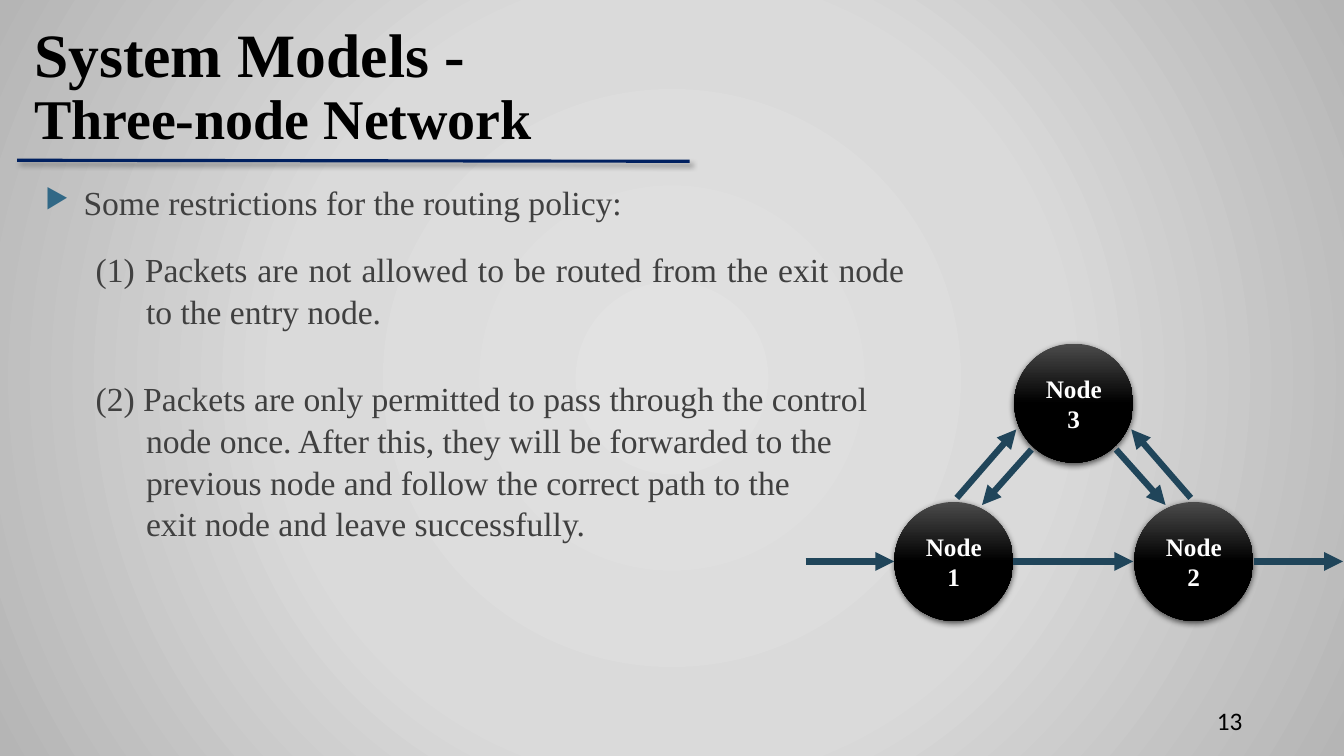
from lxml import etree
from pptx import Presentation
from pptx.dml.color import RGBColor
from pptx.enum.shapes import MSO_CONNECTOR, MSO_SHAPE
from pptx.enum.text import MSO_ANCHOR, PP_ALIGN
from pptx.oxml.ns import qn
from pptx.util import Inches, Pt

STRAIGHT = MSO_CONNECTOR.STRAIGHT
OVAL = MSO_SHAPE.OVAL
TOP, MIDDLE = MSO_ANCHOR.TOP, MSO_ANCHOR.MIDDLE
LEFT, CENTER, RIGHT, JUSTIFY = PP_ALIGN.LEFT, PP_ALIGN.CENTER, PP_ALIGN.RIGHT, PP_ALIGN.JUSTIFY

BLACK = RGBColor(0x00, 0x00, 0x00)
WHITE = RGBColor(0xFF, 0xFF, 0xFF)
BODY_GREY = RGBColor(0x40, 0x40, 0x40)
BULLET_BLUE = RGBColor(0x31, 0x68, 0x86)
RULE_NAVY = RGBColor(0x00, 0x20, 0x60)
ARROW_BLUE = RGBColor(0x20, 0x45, 0x5A)
NODE_GREY = RGBColor(0x4B, 0x4B, 0x4B)
BACK_LIGHT = RGBColor(0xE2, 0xE2, 0xE2)
BACK_MID = RGBColor(0xDA, 0xDA, 0xDA)
BACK_DARK = RGBColor(0xB5, 0xB5, 0xB5)

SERIF, SANS = "Times New Roman", "Calibri"
WIDTH, HEIGHT = 13.33, 7.5

TITLE = [("System Models -\v", 44), ("Three-node Network", 40)]
BODY = [
    ("Some restrictions for the routing policy:", JUSTIFY, 0.38, -0.38, 0),
    ("(1) Packets are not allowed to be routed from the exit node \v"
     "to the entry node.", JUSTIFY, 1, -0.5, 18),
    ("(2) Packets are only permitted to pass through the control\v"
     "node once. After this, they will be forwarded to the\v"
     "previous node and follow the correct path to the\v"
     "exit node and leave successfully.", LEFT, 1, -0.5, 32),
]
PAGE_NUMBER = "13"

NODE_SIZE = 1.18
NODE_STEP = 1.19
NODE_LEFT, NODE_TOP, NODE_RISE = 8.87, 4.98, 1.57
NODES = [("Node 3", 1, 1), ("Node 1", 0, 0), ("Node 2", 2, 0)]
AXIS = NODE_LEFT + NODE_STEP + NODE_SIZE / 2
FLOW_Y = NODE_TOP + NODE_SIZE / 2
SIDE_ARROWS = [((-1.16, 4.94), (-0.57, 4.26)), ((-0.42, 4.46), (-0.91, 5.01))]
MIRRORED_ARROWS = [((-x1, y1), (-x2, y2)) for (x1, y1), (x2, y2) in SIDE_ARROWS]
FLOW_ARROWS = [(7.99, 8.87), (10.05, 11.24), (12.44, 13.32)]


def add_gradient(fill, holder, stops, direction, **settings):
    fill.gradient()
    gradient = next(holder.iter(qn("a:gradFill")))
    for child in list(gradient):
        gradient.remove(child)
    stop_list = etree.SubElement(gradient, qn("a:gsLst"))
    for position, color in stops:
        stop = etree.SubElement(stop_list, qn("a:gs"), pos=str(position * 1000))
        etree.SubElement(stop, qn("a:srgbClr"), val=str(color))
    return etree.SubElement(gradient, qn(direction), **settings)


def set_shadow(shape, alpha=0, blur=0, distance=0, angle=0):
    properties = shape._element.spPr
    for old in properties.findall(qn("a:effectLst")):
        properties.remove(old)
    effects = etree.SubElement(properties, qn("a:effectLst"))
    if alpha:
        shadow = etree.SubElement(
            effects, qn("a:outerShdw"), blurRad=str(int(Pt(blur))),
            dist=str(int(Pt(distance))), dir=str(angle * 60000), algn="ctr", rotWithShape="0")
        color = etree.SubElement(shadow, qn("a:srgbClr"), val=str(BLACK))
        etree.SubElement(color, qn("a:alpha"), val=str(alpha * 1000))


def add_span(para, text, size, color, font=SERIF, bold=False):
    for index, line in enumerate(text.split("\v")):
        if index:
            para.add_line_break()
        if line:
            span = para.add_run()
            span.text = line
            span.font.name = font
            span.font.size = Pt(size)
            span.font.bold = bold
            span.font.color.rgb = color


def add_box(page, left, top, width, height, anchor):
    box = page.shapes.add_textbox(Inches(left), Inches(top), Inches(width), Inches(height))
    box.text_frame.word_wrap = True
    box.text_frame.vertical_anchor = anchor
    return box.text_frame


def add_line(page, start, end, color, weight):
    line = page.shapes.add_connector(STRAIGHT, *(Inches(value) for value in start + end))
    line.line.color.rgb = color
    line.line.width = Pt(weight)
    return line


def add_arrow(page, start, end):
    arrow = add_line(page, start, end, ARROW_BLUE, 4.5)
    etree.SubElement(arrow.line._get_or_add_ln(), qn("a:tailEnd"), type="triangle")
    set_shadow(arrow)


def add_bullet(para):
    properties = para._p.get_or_add_pPr()
    color = etree.SubElement(properties, qn("a:buClr"))
    etree.SubElement(color, qn("a:srgbClr"), val=str(BULLET_BLUE))
    etree.SubElement(properties, qn("a:buSzPct"), val="80000")
    etree.SubElement(properties, qn("a:buChar"), char="▶")


def add_background(page):
    background = page.background
    path = add_gradient(background.fill, page._element,
                        [(0, BACK_LIGHT), (50, BACK_MID), (100, BACK_DARK)],
                        "a:path", path="circle")
    etree.SubElement(path, qn("a:fillToRect"), l="50000", t="50000", r="50000", b="50000")


def add_texts(page):
    number = add_box(page, 9.42, 6.95, 3, 0.4, MIDDLE).paragraphs[0]
    number.alignment = RIGHT
    add_span(number, PAGE_NUMBER, 18, BLACK, SANS)

    body = add_box(page, 0.35, 1.74, 8.82, 3.64, TOP)
    for index, (text, alignment, margin, indent, before) in enumerate(BODY):
        para = body.add_paragraph() if index else body.paragraphs[0]
        para.alignment = alignment
        para.line_spacing = 1.04
        para.space_before = Pt(before)
        properties = para._p.get_or_add_pPr()
        properties.set("marL", str(int(Inches(margin))))
        properties.set("indent", str(int(Inches(indent))))
        if index == 0:
            add_bullet(para)
        add_span(para, text, 24, BODY_GREY)

    title = add_box(page, 0.24, 0.15, 7.14, 1.45, MIDDLE).paragraphs[0]
    title.line_spacing = 0.9
    for text, size in TITLE:
        add_span(title, text, size, BLACK, bold=True)
    rule = add_line(page, (0.17, 1.59), (6.84, 1.6), RULE_NAVY, 2.25)
    set_shadow(rule, 40, 4, 3, 45)


def add_network(page):
    for name, column, level in NODES:
        node = page.shapes.add_shape(
            OVAL, Inches(NODE_LEFT + column * NODE_STEP),
            Inches(NODE_TOP - level * NODE_RISE), Inches(NODE_SIZE), Inches(NODE_SIZE))
        add_gradient(node.fill, node._element,
                     [(0, NODE_GREY), (50, BLACK), (100, BLACK)],
                     "a:lin", ang="5400000", scaled="0")
        node.line.fill.background()
        set_shadow(node, 63, 4.5, 1.5, 90)
        node.text_frame.word_wrap = True
        node.text_frame.vertical_anchor = MIDDLE
        para = node.text_frame.paragraphs[0]
        para.alignment = CENTER
        add_span(para, name, 18, WHITE, bold=True)
    for (x1, y1), (x2, y2) in SIDE_ARROWS + MIRRORED_ARROWS[:1]:
        add_arrow(page, (AXIS + x1, y1), (AXIS + x2, y2))
    (x1, y1), (x2, y2) = MIRRORED_ARROWS[1]
    add_arrow(page, (AXIS + x1, y1), (AXIS + x2, y2))
    for start, end in FLOW_ARROWS:
        add_arrow(page, (start, FLOW_Y), (end, FLOW_Y))


def main():
    deck = Presentation()
    deck.slide_width, deck.slide_height = Inches(WIDTH), Inches(HEIGHT)
    page = deck.slides.add_slide(deck.slide_layouts[6])
    add_background(page)
    add_texts(page)
    add_network(page)
    deck.save("out.pptx")


if __name__ == "__main__":
    main()
